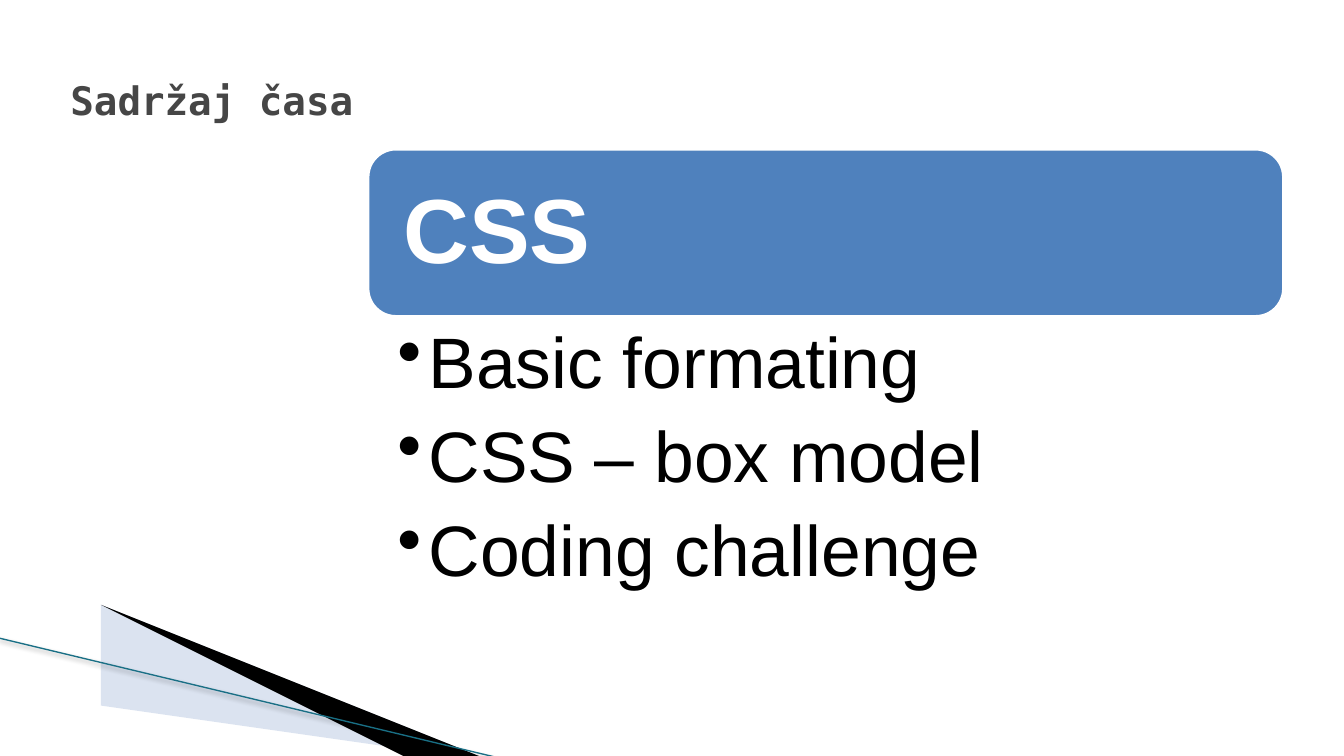
from lxml import etree
from pptx import Presentation
from pptx import util as u
from pptx.dml.color import RGBColor
from pptx.enum import shapes, text
from pptx.oxml import ns


def color(value):
    return RGBColor.from_string(value)


def add_text(slide, box, lines, *, font, size, fill, bold=False, insets=(0.1, 0.05, 0.1, 0.05),
             anchor=text.MSO_ANCHOR.MIDDLE, spacing=None, after=0, bullet=None, indent=0.31):
    frame = slide.shapes.add_textbox(*map(u.Inches, box)).text_frame
    frame.word_wrap = True
    frame.vertical_anchor = anchor
    (frame.margin_left, frame.margin_top,
     frame.margin_right, frame.margin_bottom) = map(u.Inches, insets)
    for index, line in enumerate(lines):
        paragraph = frame.add_paragraph() if index else frame.paragraphs[0]
        paragraph.text = line
        if bullet:
            paragraph.level = 1
            properties = paragraph._p.get_or_add_pPr()
            properties.set("marL", str(u.Inches(indent)))
            properties.set("indent", str(-u.Inches(indent)))
            etree.SubElement(properties, ns.qn("a:buChar"), char=bullet)
        paragraph.line_spacing = spacing
        paragraph.space_after = u.Pt(after)
        run_font = paragraph.runs[0].font
        run_font.name = font
        run_font.size = u.Pt(size)
        run_font.bold = bold
        run_font.color.rgb = color(fill)


presentation = Presentation()
presentation.slide_width = u.Inches(13.33)
presentation.slide_height = u.Inches(7.5)
slide = presentation.slides.add_slide(presentation.slide_layouts[6])

# Corner wedges
wedges = [
    ([(0.73, 6.51), (7.93, 7.51), (6.08, 7.51), (0.73, 6.5)], "A7B9DB", 40),
    ([(0.71, 6.49), (6.09, 7.51), (4.96, 7.52), (0.72, 6.5)], "000000", 100),
]
for points, fill, opacity in wedges:
    builder = slide.shapes.build_freeform(*points[0], scale=u.Inches(1))
    builder.add_line_segments(points[1:], close=True)
    wedge = builder.convert_to_shape()
    wedge.shadow.inherit = False
    wedge.fill.solid()
    wedge.fill.fore_color.rgb = color(fill)
    wedge.line.fill.background()
    if opacity < 100:
        fill_color = wedge._element.spPr.find(".//" + ns.qn("a:srgbClr"))
        etree.SubElement(fill_color, ns.qn("a:alpha"), val=str(opacity * 1000))

# Corner edge line with a soft shadow
edge = slide.shapes.add_connector(
    shapes.MSO_CONNECTOR.STRAIGHT, *map(u.Inches, (-0.01, 6.33, 4.95, 7.52)))
edge.line.color.rgb = color("196F85")
edge.line.width = u.Pt(0.96)
effects = etree.SubElement(edge._element.spPr, ns.qn("a:effectLst"))
shadow = etree.SubElement(effects, ns.qn("a:outerShdw"), blurRad=str(u.Pt(3.1)),
                          dist=str(u.Pt(1.6)), dir="5400000", rotWithShape="0")
shadow_color = etree.SubElement(shadow, ns.qn("a:srgbClr"), val="000000")
etree.SubElement(shadow_color, ns.qn("a:alpha"), val="38000")

# Title
add_text(slide, (0.6, 0.27, 11.41, 1.45), ["Sadržaj časa"],
         font="DejaVu Sans Mono", size=28, fill="464646", bold=True)

# Topic banner
banner = slide.shapes.add_shape(
    shapes.MSO_SHAPE.ROUNDED_RECTANGLE, *map(u.Inches, (3.65, 1.48, 9.08, 1.66)))
banner.shadow.inherit = False
banner.fill.solid()
banner.fill.fore_color.rgb = color("4F81BD")
banner.line.color.rgb = color("FFFFFF")
banner.line.width = u.Pt(2)
add_text(slide, (3.73, 1.57, 8.91, 1.5), ["CSS"], font="Arial", size=65, fill="FFFFFF",
         bold=True, insets=(0.27,) * 4, spacing=0.9)

# Topic list
add_text(slide, (3.65, 3.15, 9.08, 2.72),
         ["Basic formating", "CSS – box model", "Coding challenge"],
         font="Arial", size=51, fill="000000", insets=(0.29, 0.09, 0.51, 0.09),
         anchor=text.MSO_ANCHOR.TOP, spacing=0.9, after=12, bullet="•")

presentation.save("out.pptx")
